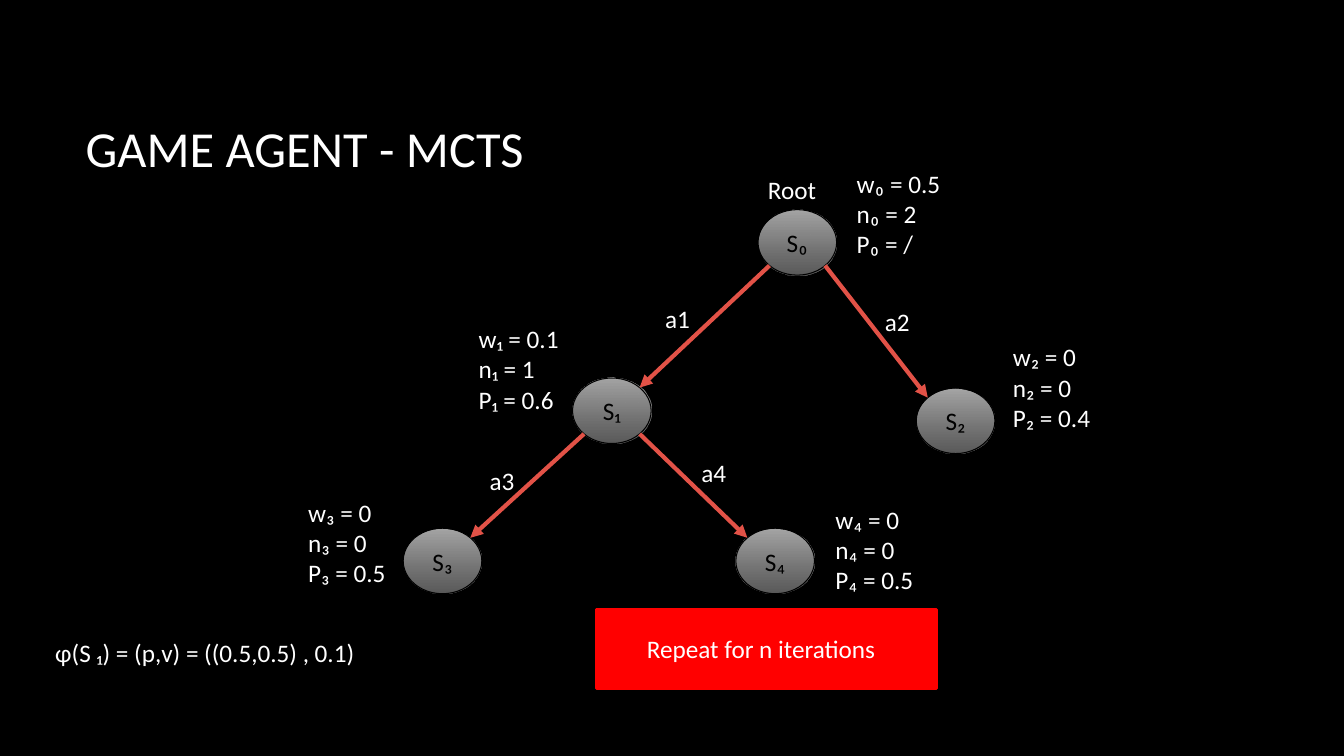
from lxml import etree
from pptx import Presentation
from pptx.dml.color import RGBColor
from pptx.enum.shapes import MSO_CONNECTOR as Connector, MSO_SHAPE as Shape
from pptx.enum.text import MSO_ANCHOR as Anchor, MSO_AUTO_SIZE as AutoSize, PP_ALIGN as Align
from pptx.oxml.ns import qn
from pptx.util import Inches, Pt

# The slide is a grid of 160 columns by 90 rows, so a cell is square.
COLUMNS, ROWS = 160, 90
CELL = Inches(1) / 12
NODE_WIDTH, NODE_HEIGHT = 9.36, 7.8
LINE_HEIGHT = 4.8
DIAGONAL = 0.5 ** 0.5 / 2  # offset of an ellipse's 45° point, as a share of its size

WHITE, BLACK, RED, ARROW = "FFFFFF", "000000", "FF0000", "E25247"
NODE_TOP, NODE_BOTTOM = "A6A6A6", "797979"

# name: node position, statistics position, statistics
NODES = {
    "S₀": ((90.24, 24.96), (100.8, 19.44), ["w₀ = 0.5", "n₀ = 2", "P₀ = /"]),
    "S₁": ((68.16, 45), (55.8, 37.92), ["w₁ = 0.1", "n₁ = 1", "P₁ = 0.6"]),
    "S₂": ((109.08, 46.2), (119.4, 40.08), ["w₂ = 0", "n₂ = 0", "P₂ = 0.4"]),
    "S₃": ((48, 62.88), (35.52, 58.56), ["w₃ = 0", "n₃ = 0", "P₃ = 0.5"]),
    "S₄": ((87.6, 62.88), (98.28, 59.4), ["w₄ = 0", "n₄ = 0", "P₄ = 0.5"]),
}
# parent, child, action, label position
ACTIONS = [
    ("S₀", "S₁", "a1", (78, 35.52)),
    ("S₀", "S₂", "a2", (104.16, 35.88)),
    ("S₁", "S₃", "a3", (57.12, 54.84)),
    ("S₁", "S₄", "a4", (82.32, 53.88)),
]


def cells(*counts):
    """Turn counts of grid cells into lengths."""
    return [round(count * CELL) for count in counts]


def color(hex_string):
    return RGBColor.from_string(hex_string)


def write(shape, lines, size=18, fill=WHITE, align=Align.LEFT, anchor=Anchor.TOP):
    frame = shape.text_frame
    frame.word_wrap = True
    frame.auto_size = AutoSize.NONE
    frame.vertical_anchor = anchor
    frame.text = "\n".join(lines)
    for paragraph in frame.paragraphs:
        paragraph.alignment = align
        font = paragraph.runs[0].font
        font.name = "Calibri"
        font.size = Pt(size)
        font.color.rgb = color(fill)


def add_label(slide, position, width, *lines, height=LINE_HEIGHT):
    write(slide.shapes.add_textbox(*cells(*position, width, height)), lines)


def add_outlined(slide, kind, box, line, width):
    shape = slide.shapes.add_shape(kind, *cells(*box))
    shape.shadow.inherit = False
    shape.line.color.rgb = color(line)
    shape.line.width = Pt(width)
    return shape


def add_node(slide, name, position):
    node = add_outlined(slide, Shape.OVAL, (*position, NODE_WIDTH, NODE_HEIGHT), BLACK, 0.75)
    node.fill.gradient()
    node.fill.gradient_angle = 270
    for stop, shade in zip(node.fill.gradient_stops, (NODE_TOP, NODE_BOTTOM)):
        stop.color.rgb = color(shade)
    last_color = node._element.spPr.findall(".//" + qn("a:srgbClr"))[1]
    etree.SubElement(last_color, qn("a:alpha"), val="74000")
    write(node, [name], fill=BLACK, align=Align.CENTER, anchor=Anchor.MIDDLE)


def diagonal_point(position, right, down):
    """Point on a node's outline; right and down are 1 or -1."""
    left, top = position
    return (left + NODE_WIDTH * (0.5 + right * DIAGONAL),
            top + NODE_HEIGHT * (0.5 + down * DIAGONAL))


def add_arrow(slide, parent, child):
    side = 1 if child[0] > parent[0] else -1
    start = diagonal_point(parent, side, 1)
    end = diagonal_point(child, -side, -1)
    arrow = slide.shapes.add_connector(Connector.STRAIGHT, *cells(*start, *end))
    arrow.line.color.rgb = color(ARROW)
    arrow.line.width = Pt(3)
    etree.SubElement(arrow.line._get_or_add_ln(), qn("a:tailEnd"), type="triangle")
    etree.SubElement(arrow._element.spPr, qn("a:effectLst"))


def add_title(slide, text):
    title = slide.shapes.title
    title.left, title.top, title.width, title.height = cells(9, 8.04, 132.96, 19.08)
    write(title, [text], size=36, anchor=Anchor.MIDDLE)


def add_banner(slide):
    banner = add_outlined(slide, Shape.RECTANGLE, (71.04, 72.6, 40.44, 9.36), RED, 2)
    banner.fill.solid()
    banner.fill.fore_color.rgb = color(RED)
    add_label(slide, (75.84, 74.76), 65.52, "Repeat for n iterations")


def main():
    presentation = Presentation()
    presentation.slide_width, presentation.slide_height = cells(COLUMNS, ROWS)
    slide = presentation.slides.add_slide(presentation.slide_layouts.get_by_name("Title Only"))
    slide.background.fill.solid()
    slide.background.fill.fore_color.rgb = color(BLACK)

    add_title(slide, "GAME AGENT - MCTS")
    for name, (position, statistics_position, statistics) in NODES.items():
        add_node(slide, name, position)
        add_label(slide, statistics_position, 19.92, *statistics, height=12.12)
    for parent, child, action, position in ACTIONS:
        add_arrow(slide, NODES[parent][0], NODES[child][0])
        add_label(slide, position, 8.76, action)
    add_label(slide, (90.24, 20.16), 10.68, "Root")
    add_label(slide, (5.4, 75.24), 80.04, "ɸ(S ₁) = (p,v) = ((0.5,0.5) , 0.1)")
    add_banner(slide)

    presentation.save("out.pptx")


if __name__ == "__main__":
    main()
